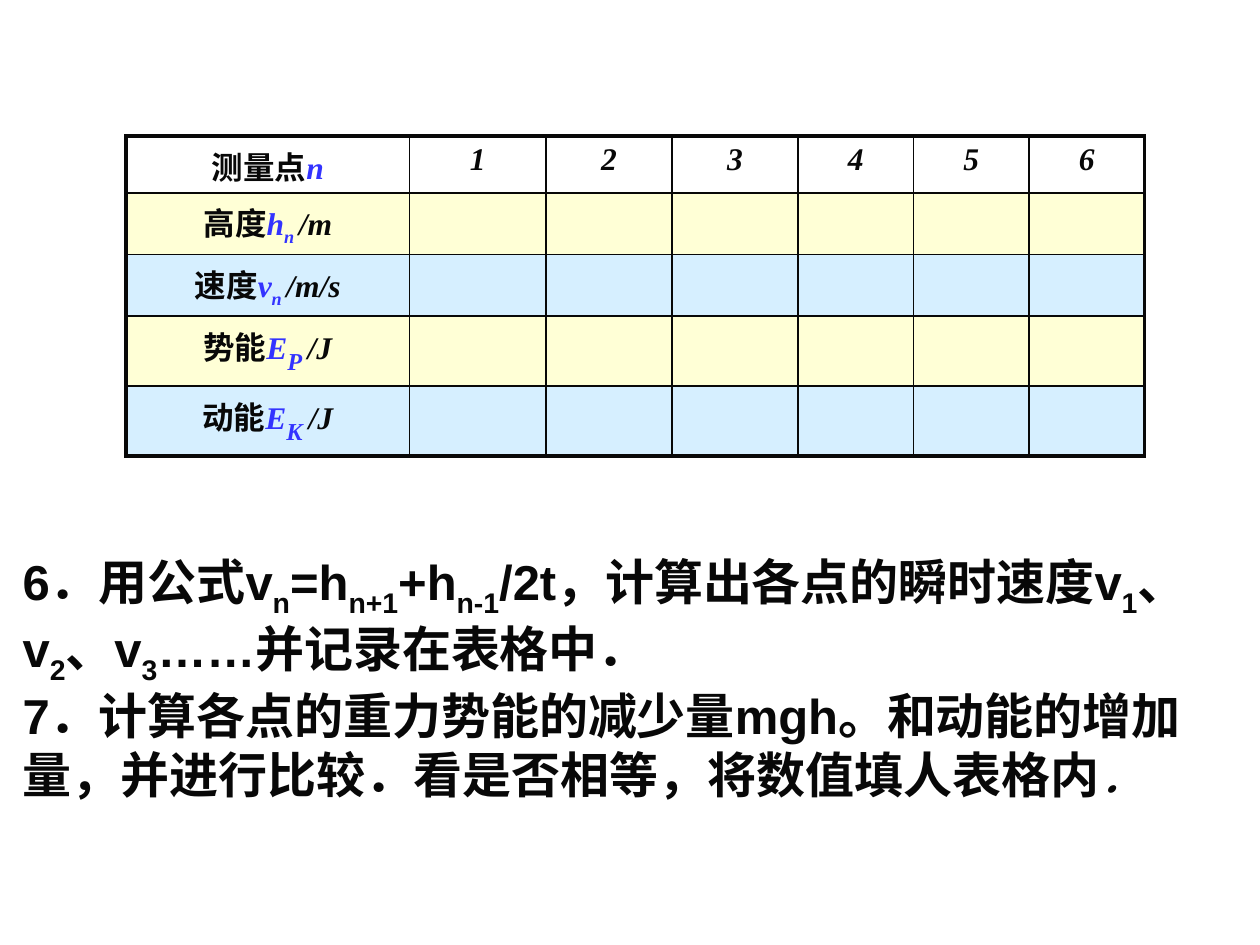
from dataclasses import dataclass
from typing import NamedTuple, Optional

from lxml.etree import SubElement
from pptx import Presentation
from pptx.dml.color import RGBColor
from pptx.enum.text import PP_ALIGN
from pptx.oxml import parse_xml
from pptx.oxml.ns import nsdecls, qn
from pptx.util import Pt


@dataclass(frozen=True)
class Theme:
    ink: str = "080808"
    symbol: str = "3333FF"
    header: str = "FFFFFF"
    bands: tuple = ("FFFFCC", "CCECFF")
    opacity: int = 80000
    cell_font: str = "Times New Roman"
    body_font: str = "Arial"
    cell_size: float = 18
    energy_size: float = 24
    body_size: float = 28
    thin: float = 1
    thick: float = 2.25


class Span(NamedTuple):
    text: str
    sub: bool = False
    color: Optional[str] = None
    size: Optional[float] = None
    bold: Optional[bool] = None
    italic: Optional[bool] = None


class Quantity(NamedTuple):
    name: str
    symbol: str
    index: str
    unit: str
    index_size: Optional[float] = None


THEME = Theme()
POINTS = 6
COLS = (162, 78, 72, 72, 66, 66, 66)
ROWS = (32.4, 35.2, 35.2, 35.2, 35.2)
QUANTITIES = (
    Quantity("高度", "h", "n ", "/m"),
    Quantity("速度", "v", "n ", "/m/s"),
    Quantity("势能", "E", "P ", "/J", THEME.energy_size),
    Quantity("动能", "E", "K ", "/J", THEME.energy_size),
)
STEPS = (
    (
        Span("6．用公式v"), Span("n", sub=True),
        Span("=h"), Span("n+1", sub=True),
        Span("+h"), Span("n-1", sub=True),
        Span("/2t，计算出各点的瞬时速度v"), Span("1", sub=True),
        Span("、v"), Span("2", sub=True),
        Span("、v"), Span("3", sub=True),
        Span("……并记录在表格中．"),
    ),
    (
        Span("7．计算各点的重力势能的减少量mgh。和动能的增加量，并进行比较．看是否相等，将数值填人表格内"),
        Span("．", bold=False, italic=True),
    ),
)


def write(p, spans, font: str, size: float) -> None:
    p.font.name = font
    p.font.size = Pt(size)
    p.font.bold = True
    p.font.color.rgb = RGBColor.from_string(THEME.ink)
    for span in spans:
        r = p.add_run()
        r.text = span.text
        if span.sub:
            r.font._element.set("baseline", "-25000")
        if span.color:
            r.font.color.rgb = RGBColor.from_string(span.color)
        if span.size:
            r.font.size = Pt(span.size)
        if span.bold is not None:
            r.font.bold = span.bold
        if span.italic is not None:
            r.font.italic = span.italic


def fill_cell(cell, color: str) -> None:
    cell.fill.solid()
    cell.fill.fore_color.rgb = RGBColor.from_string(color)
    rgb = cell._tc.tcPr.find(".//" + qn("a:srgbClr"))
    SubElement(rgb, qn("a:alpha")).set("val", str(THEME.opacity))


def border_cell(cell, row: int, col: int) -> None:
    outer = {
        "lnL": col == 0,
        "lnR": col == len(COLS) - 1,
        "lnT": row == 0,
        "lnB": row == len(ROWS) - 1,
    }
    for i, (side, edge) in enumerate(outer.items()):
        width = Pt(THEME.thick if edge else THEME.thin)
        cell._tc.tcPr.insert(i, parse_xml(
            f'<a:{side} {nsdecls("a")} w="{width}"><a:solidFill>'
            f'<a:srgbClr val="{THEME.ink}"/></a:solidFill></a:{side}>'
        ))


def cell_spans(row: int, col: int) -> tuple:
    if row == 0 and col == 0:
        return Span("测量点"), Span("n", color=THEME.symbol, italic=True)
    if row == 0:
        return (Span(str(col), italic=True),)
    if col:
        return ()
    q = QUANTITIES[row - 1]
    return (
        Span(q.name),
        Span(q.symbol, color=THEME.symbol, italic=True),
        Span(q.index, sub=True, color=THEME.symbol, size=q.index_size, italic=True),
        Span(q.unit, italic=True),
    )


def add_measurements(s) -> None:
    frame = s.shapes.add_table(
        len(ROWS), POINTS + 1, Pt(72), Pt(77.8), Pt(sum(COLS)), Pt(sum(ROWS))
    )
    table = frame.table
    table.first_row = False
    table.horz_banding = False
    for column, width in zip(table.columns, COLS):
        column.width = Pt(width)
    for i, (row, height) in enumerate(zip(table.rows, ROWS)):
        row.height = Pt(height)
        color = THEME.bands[(i - 1) % 2] if i else THEME.header
        for j, cell in enumerate(row.cells):
            fill_cell(cell, color)
            border_cell(cell, i, j)
            p = cell.text_frame.paragraphs[0]
            p.alignment = PP_ALIGN.CENTER
            write(p, cell_spans(i, j), THEME.cell_font, THEME.cell_size)


def add_steps(s) -> None:
    tf = s.shapes.add_textbox(Pt(5.8), Pt(311.8), Pt(702), Pt(141.8)).text_frame
    tf.word_wrap = True
    for i, spans in enumerate(STEPS):
        p = tf.add_paragraph() if i else tf.paragraphs[0]
        write(p, spans, THEME.body_font, THEME.body_size)


def main() -> None:
    prs = Presentation()
    prs.slide_width, prs.slide_height = Pt(720), Pt(540)
    s = prs.slides.add_slide(prs.slide_layouts[6])
    add_steps(s)
    add_measurements(s)
    prs.save("out.pptx")


if __name__ == "__main__":
    main()
